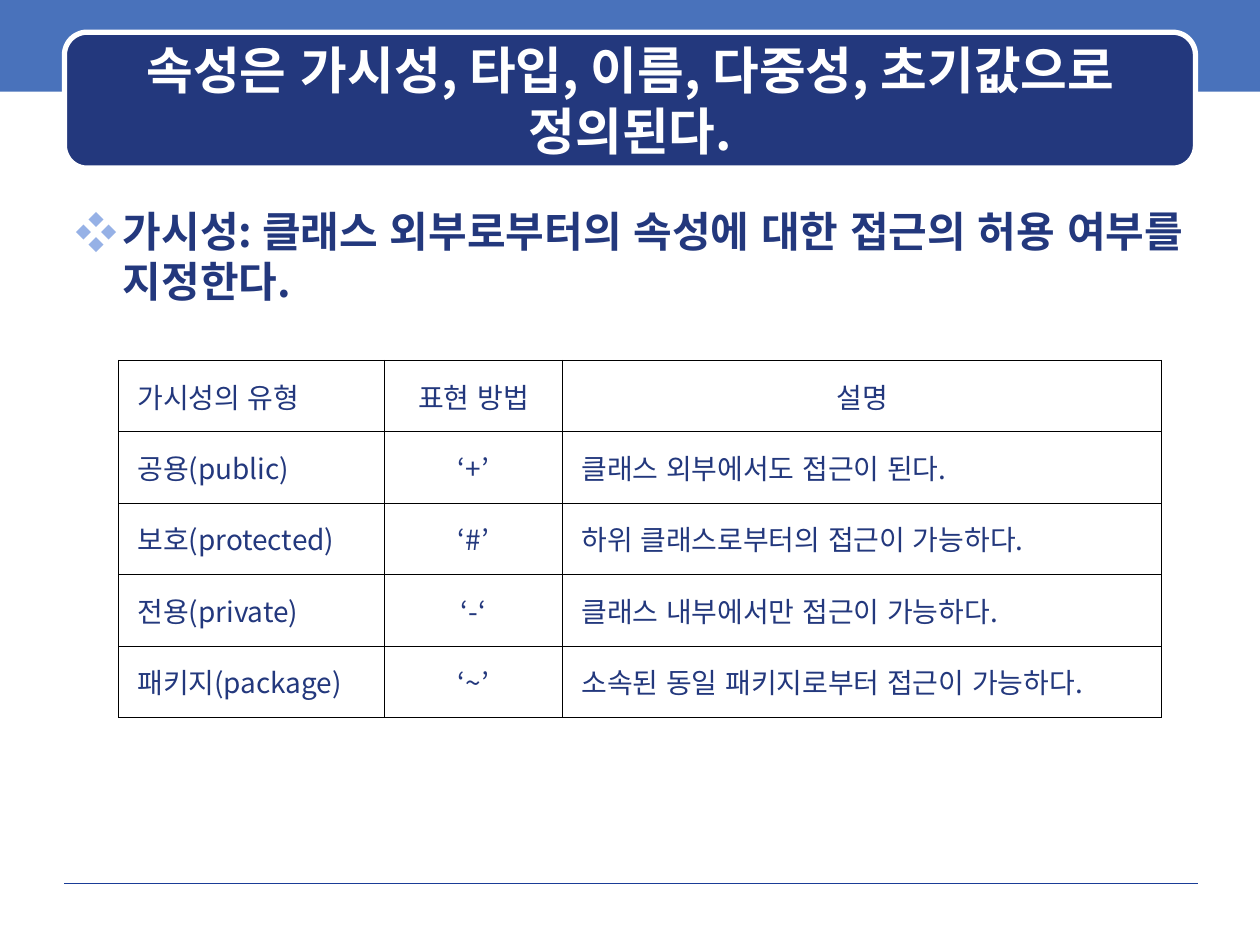
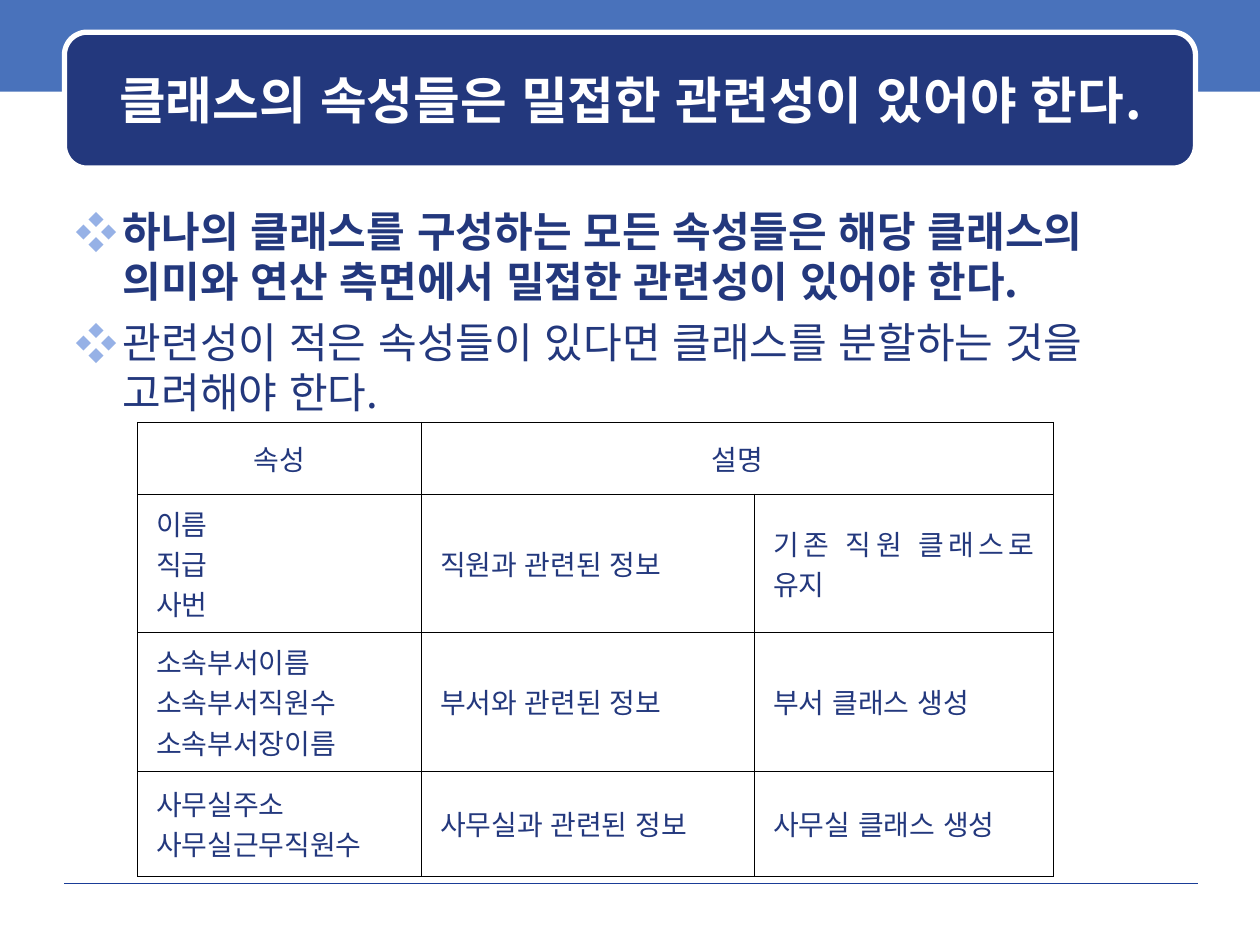
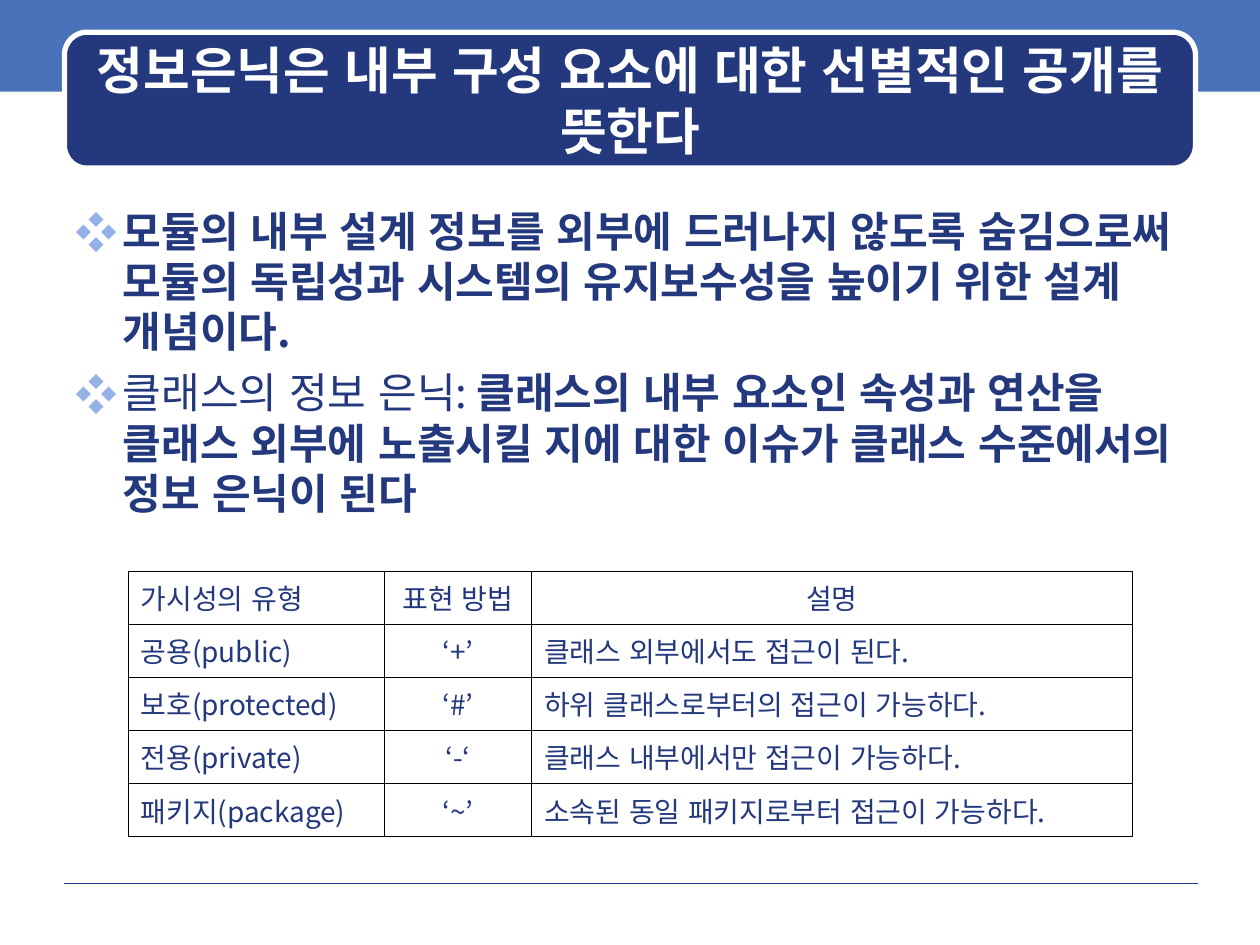
from dataclasses import dataclass

from lxml.etree import SubElement
from pptx import Presentation
from pptx.dml.color import RGBColor
from pptx.enum.lang import MSO_LANGUAGE_ID
from pptx.enum.shapes import MSO_CONNECTOR, MSO_SHAPE
from pptx.enum.text import MSO_ANCHOR, PP_ALIGN
from pptx.oxml import parse_xml
from pptx.oxml.ns import nsdecls, qn
from pptx.util import Cm, Pt

FONT = "Noto Sans CJK KR"
NAVY, BLUE, PALE_BLUE = "23387D", "4972BB", "96B1E6"
RULE_BLUE, WHITE, BLACK = "1A3D97", "FFFFFF", "000000"
BULLET_INDENT = Cm(0.96)


@dataclass(frozen=True)
class Phrase:
    text: str
    bold: bool = True


@dataclass(frozen=True)
class Grid:
    left: float
    top: float
    columns: tuple[float, ...]
    heights: tuple[float, ...]
    rows: tuple[tuple[str, ...], ...]
    side_margin: float
    centred_headers: tuple[int, ...]
    centred_columns: tuple[int, ...] = ()
    merged_header: tuple[int, int] | None = None


@dataclass(frozen=True)
class Page:
    title: str
    bullets: tuple[tuple[Phrase, ...], ...]
    grid: Grid


VISIBILITY_ROWS = (
    ("가시성의 유형", "표현 방법", "설명"),
    ("공용(public)", "‘+’", "클래스 외부에서도 접근이 된다."),
    ("보호(protected)", "‘#’", "하위 클래스로부터의 접근이 가능하다."),
    ("전용(private)", "‘-‘", "클래스 내부에서만 접근이 가능하다."),
    ("패키지(package)", "‘~’", "소속된 동일 패키지로부터 접근이 가능하다."),
)

ATTRIBUTE_ROWS = (
    ("속성", "설명", ""),
    ("이름\n직급\n사번", "직원과 관련된 정보", "기존 직원 클래스로 유지"),
    ("소속부서이름\n소속부서직원수\n소속부서장이름", "부서와 관련된 정보", "부서 클래스 생성"),
    ("사무실주소\n사무실근무직원수", "사무실과 관련된 정보", "사무실 클래스 생성"),
)

PAGES = (
    Page(
        "속성은 가시성, 타입, 이름, 다중성, 초기값으로 정의된다.",
        ((Phrase("가시성: 클래스 외부로부터의 속성에 대한 접근의 허용 여부를 지정한다."),),),
        Grid(2.39, 7.26, (5.36, 3.59, 12.08), (1.44,) * 5, VISIBILITY_ROWS,
             0.38, (1, 2), (1,)),
    ),
    Page(
        "클래스의 속성들은 밀접한 관련성이 있어야 한다.",
        (
            (Phrase("하나의 클래스를 구성하는 모든 속성들은 해당 클래스의 의미와 "
                    "연산 측면에서 밀접한 관련성이 있어야 한다."),),
            (Phrase("관련성이 적은 속성들이 있다면 클래스를 분할하는 것을 "
                    "고려해야 한다.", bold=False),),
        ),
        Grid(2.77, 8.51, (5.72, 6.72, 6.03), (1.45, 2.79, 2.79, 2.12), ATTRIBUTE_ROWS,
             0.38, (0, 1), merged_header=(1, 2)),
    ),
    Page(
        "정보은닉은 내부 구성 요소에 대한 선별적인 공개를 뜻한다",
        (
            (Phrase("모듈의 내부 설계 정보를 외부에 드러나지 않도록 숨김으로써 모듈의 "
                    "독립성과 시스템의 유지보수성을 높이기 위한 설계 개념이다."),),
            (Phrase("클래스의 정보 은닉: ", bold=False),
             Phrase("클래스의 내부 요소인 속성과 연산을 클래스 외부에 노출시킬 지에 "
                    "대한 이슈가 클래스 수준에서의 정보 은닉이 된다")),
        ),
        Grid(2.59, 11.51, (5.16, 2.97, 12.1), (1.07,) * 5, VISIBILITY_ROWS,
             0.25, (1, 2), (1,)),
    ),
)


def rgb(color: str) -> RGBColor:
    return RGBColor.from_string(color)


def style_run(run, size: float, color: str, bold: bool = False) -> None:
    """Format a run as Korean text, with pair kerning off."""
    run.font.size = Pt(size)
    run.font.bold = bold
    run.font.name = FONT
    run.font.color.rgb = rgb(color)
    run.font.language_id = MSO_LANGUAGE_ID.KOREAN
    properties = run.font._element
    properties.set("kern", "0")
    SubElement(properties, qn("a:ea")).set("typeface", FONT)


def add_panel(slide, preset, left: float, top: float, width: float, height: float,
              color: str):
    panel = slide.shapes.add_shape(preset, Cm(left), Cm(top), Cm(width), Cm(height))
    panel.shadow.inherit = False
    panel.fill.solid()
    panel.fill.fore_color.rgb = rgb(color)
    panel.line.fill.background()
    return panel


def add_frame(slide, left: float, top: float, width: float, height: float):
    frame = slide.shapes.add_textbox(Cm(left), Cm(top), Cm(width), Cm(height)).text_frame
    frame.word_wrap = True
    return frame


def draw_background(slide) -> None:
    """Draw the top band, the footer rule and the title plate."""
    add_panel(slide, MSO_SHAPE.RECTANGLE, 0, 0, 25.4, 1.85, BLUE)
    rule = slide.shapes.add_connector(
        MSO_CONNECTOR.STRAIGHT, Cm(1.3), Cm(17.8), Cm(24.16), Cm(17.8))
    rule.line.color.rgb = rgb(RULE_BLUE)
    rule.line.width = Pt(0.25)
    SubElement(rule._element.spPr, qn("a:effectLst"))
    plate = add_panel(slide, MSO_SHAPE.ROUNDED_RECTANGLE, 1.3, 0.65, 22.8, 2.74, NAVY)
    plate.line.color.rgb = rgb(WHITE)
    plate.line.width = Pt(3)


def draw_title(slide, title: str) -> None:
    frame = add_frame(slide, 1.52, 0.89, 22.38, 2.24)
    frame.vertical_anchor = MSO_ANCHOR.MIDDLE
    frame.text = title
    heading = frame.paragraphs[0]
    heading.alignment = PP_ALIGN.CENTER
    style_run(heading.runs[0], 29, WHITE, bold=True)


def add_bullet(paragraph) -> None:
    properties = paragraph._p.get_or_add_pPr()
    properties.set("marL", str(BULLET_INDENT))
    properties.set("indent", str(-BULLET_INDENT))
    color = SubElement(properties, qn("a:buClr"))
    SubElement(color, qn("a:srgbClr")).set("val", PALE_BLUE)
    SubElement(properties, qn("a:buFont")).set("typeface", FONT)
    SubElement(properties, qn("a:buChar")).set("char", "❖")


def draw_bullets(slide, bullets: tuple[tuple[Phrase, ...], ...]) -> None:
    frame = add_frame(slide, 1.27, 4.01, 22.86, 13.54)
    for index, phrases in enumerate(bullets):
        bullet = frame.add_paragraph() if index else frame.paragraphs[0]
        add_bullet(bullet)
        if index:
            bullet.space_before = Pt(6)
        for phrase in phrases:
            run = bullet.add_run()
            run.text = phrase.text
            style_run(run, 24, NAVY, phrase.bold)


def add_borders(cell) -> None:
    properties = cell._tc.get_or_add_tcPr()
    for index, side in enumerate(("lnL", "lnR", "lnT", "lnB")):
        properties.insert(index, parse_xml(
            f'<a:{side} {nsdecls("a")} w="{Pt(0.45)}"><a:solidFill>'
            f'<a:srgbClr val="{BLACK}"/></a:solidFill></a:{side}>'))


def fill_cell(cell, text: str, side_margin: float, centred: bool) -> None:
    cell.fill.background()
    add_borders(cell)
    cell.margin_left = cell.margin_right = Cm(side_margin)
    cell.margin_top = cell.margin_bottom = Cm(0.13)
    cell.vertical_anchor = MSO_ANCHOR.MIDDLE
    cell.text_frame.text = text
    for paragraph in cell.text_frame.paragraphs:
        paragraph.alignment = PP_ALIGN.CENTER if centred else PP_ALIGN.JUSTIFY
        for run in paragraph.runs:
            style_run(run, 16, NAVY)


def draw_grid(slide, grid: Grid) -> None:
    table = slide.shapes.add_table(
        len(grid.rows), len(grid.columns), Cm(grid.left), Cm(grid.top),
        Cm(sum(grid.columns)), Cm(sum(grid.heights))).table
    table.first_row = table.horz_banding = False
    for column, width in zip(table.columns, grid.columns):
        column.width = Cm(width)
    for row, height in zip(table.rows, grid.heights):
        row.height = Cm(height)
    for row, texts in enumerate(grid.rows):
        centred = grid.centred_columns if row else grid.centred_headers
        for column, text in enumerate(texts):
            fill_cell(table.cell(row, column), text, grid.side_margin, column in centred)
    if grid.merged_header:
        first, last = grid.merged_header
        table.cell(0, first).merge(table.cell(0, last))


def main() -> None:
    deck = Presentation()
    deck.slide_width, deck.slide_height = Cm(25.4), Cm(19.05)
    for page in PAGES:
        slide = deck.slides.add_slide(deck.slide_layouts[6])
        draw_background(slide)
        draw_title(slide, page.title)
        draw_bullets(slide, page.bullets)
        draw_grid(slide, page.grid)
    deck.save("out.pptx")


if __name__ == "__main__":
    main()
